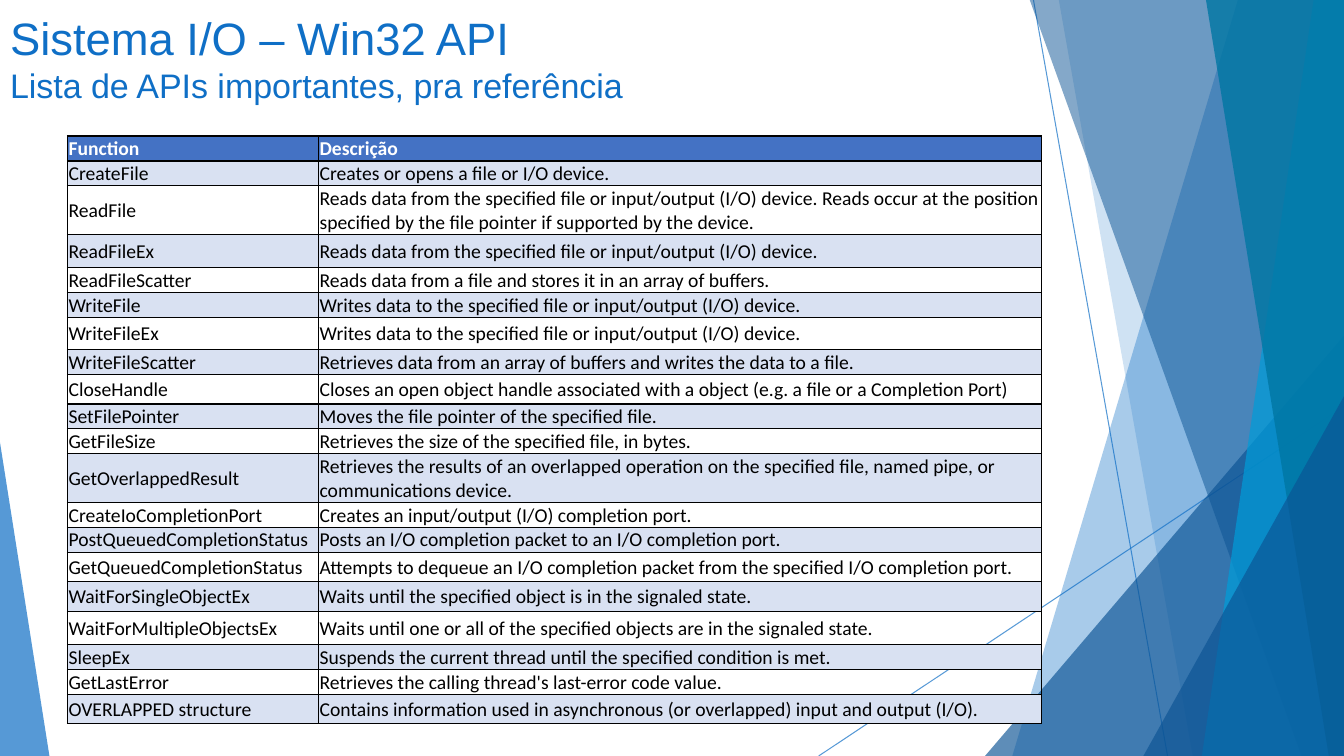
"""Build the slide listing the important Win32 I/O functions."""
import pptx
import pptx.dml.color
import pptx.enum.shapes
import pptx.enum.text
import pptx.oxml
import pptx.oxml.ns
import pptx.util
from pptx.util import Inches

WIDTH, HEIGHT = 13.33, 7.5
BLUE, NAVY, CYAN, TEAL = "0F6FC6", "0B5394", "009DD9", "0076A3"
HEADER, BAND, BLACK, WHITE = "4472C4", "D9E1F2", "000000", "FFFFFF"

HEADING = [("Sistema I/O – Win32 API", 32.4),
           ("Lista de APIs importantes, pra referência", 24.3)]

FUNCTIONS = [
    ("Function", "Descrição", 0.16),
    ("CreateFile", "Creates or opens a file or I/O device.", 0.16),
    ("ReadFile", "Reads data from the specified file or input/output (I/O) device. Reads occur at "
     "the position specified by the file pointer if supported by the device.", 0.29),
    ("ReadFileEx", "Reads data from the specified file or input/output (I/O) device.", 0.33),
    ("ReadFileScatter", "Reads data from a file and stores it in an array of buffers.", 0.16),
    ("WriteFile", "Writes data to the specified file or input/output (I/O) device.", 0.16),
    ("WriteFileEx", "Writes data to the specified file or input/output (I/O) device.", 0.32),
    ("WriteFileScatter", "Retrieves data from an array of buffers and writes the data to a file.",
     0.16),
    ("CloseHandle", "Closes an open object handle associated with a object "
     "(e.g. a file or a Completion Port)", 0.29),
    ("SetFilePointer", "Moves the file pointer of the specified file.", 0.16),
    ("GetFileSize", "Retrieves the size of the specified file, in bytes.", 0.16),
    ("GetOverlappedResult", "Retrieves the results of an overlapped operation on the specified "
     "file, named pipe, or communications device.", 0.29),
    ("CreateIoCompletionPort", "Creates an input/output (I/O) completion port.", 0.16),
    ("PostQueuedCompletionStatus", "Posts an I/O completion packet to an I/O completion port.",
     0.16),
    ("GetQueuedCompletionStatus", "Attempts to dequeue an I/O completion packet from the "
     "specified I/O completion port.", 0.29),
    ("WaitForSingleObjectEx", "Waits until the specified object is in the signaled state.", 0.3),
    ("WaitForMultipleObjectsEx", "Waits until one or all of the specified objects are in the "
     "signaled state.", 0.33),
    ("SleepEx", "Suspends the current thread until the specified condition is met.", 0.16),
    ("GetLastError", "Retrieves the calling thread's last-error code value.", 0.16),
    ("OVERLAPPED structure", "Contains information used in asynchronous (or overlapped) input "
     "and output (I/O).", 0.29),
]
COLUMNS = (2.49, 7.17)

RAYS = [(10.25, 0, 11.58, HEIGHT), (WIDTH, 4.03, 8.12, HEIGHT)]
FACETS = [
    ("band", (12.28, 10.04), BLUE, 36),
    ("band", (10.5, 11.83), BLUE, 20),
    ("triangle", (9.77, 3.33, 3.56, 1), NAVY, 66),
    ("band", (10.21, 12.91), NAVY, 50),
    ("band", (13.03, 11.92), CYAN, 70),
    ("band", (11.96, 13.18), TEAL, 80),
    ("triangle", (11.34, 3.93, 1.99, 1), NAVY, 66),
    ("triangle", (0, 4.39, 0.49, 0), BLUE, 70),
]


def paint(color_format, color):
    color_format.rgb = pptx.dml.color.RGBColor.from_string(color)


def set_alpha(element, percent):
    color = next(element.iter(pptx.oxml.ns.qn("a:srgbClr")))
    alpha = pptx.oxml.parse_xml(
        f'<a:alpha {pptx.oxml.ns.nsdecls("a")} val="{percent * 1000}"/>')
    color.append(alpha)


def add_ray(slide, x1, y1, x2, y2):
    ray = slide.shapes.add_connector(pptx.enum.shapes.MSO_CONNECTOR.STRAIGHT,
                                     *map(Inches, (x1, y1, x2, y2)))
    paint(ray.line.color, BLUE)
    ray.line.width = pptx.util.Pt(0.75)
    properties = ray._element.spPr
    set_alpha(properties, 70)
    properties.append(pptx.oxml.parse_xml(f'<a:effectLst {pptx.oxml.ns.nsdecls("a")}/>'))


def add_facet(slide, kind, geometry, color, opacity):
    if kind == "band":
        top_x, bottom_x = geometry
        outline = slide.shapes.build_freeform(Inches(top_x), Inches(-0.01))
        corners = [(WIDTH, -0.01), (WIDTH, HEIGHT), (bottom_x, HEIGHT)]
        outline.add_line_segments([(Inches(x), Inches(y)) for x, y in corners])
        facet = outline.convert_to_shape()
    else:
        left, top, width, apex = geometry
        facet = slide.shapes.add_shape(
            pptx.enum.shapes.MSO_SHAPE.ISOSCELES_TRIANGLE,
            *map(Inches, (left, top, width, HEIGHT - top)))
        facet.adjustments[0] = apex
    facet.shadow.inherit = False
    facet.line.fill.background()
    facet.fill.solid()
    paint(facet.fill.fore_color, color)
    set_alpha(facet._element.spPr, opacity)


def add_heading(slide):
    title = slide.shapes.title
    title.left, title.top, title.width, title.height = map(Inches, (0, 0, 9.4, 0.95))
    frame = title.text_frame
    frame.text = "\n".join(text for text, _ in HEADING)
    frame.auto_size = pptx.enum.text.MSO_AUTO_SIZE.NONE
    frame.vertical_anchor = pptx.enum.text.MSO_ANCHOR.TOP
    frame.margin_top = Inches(0.1)
    for paragraph, (_, size) in zip(frame.paragraphs, HEADING):
        paragraph.alignment = pptx.enum.text.PP_ALIGN.LEFT
        font = paragraph.runs[0].font
        font.name, font.size = "Arial", pptx.util.Pt(size)
        paint(font.color, BLUE)


def format_cell(cell, text, row):
    cell.text = text
    cell.vertical_anchor = pptx.enum.text.MSO_ANCHOR.MIDDLE
    cell.margin_left = cell.margin_right = cell.margin_top = Inches(0.01)
    cell.margin_bottom = 0
    font = cell.text_frame.paragraphs[0].runs[0].font
    font.name, font.size, font.bold = "Calibri", pptx.util.Pt(14), row == 0
    paint(font.color, BLACK if row else WHITE)
    properties = cell._tc.get_or_add_tcPr()
    for side in "LRTB":
        properties.append(pptx.oxml.parse_xml(
            f'<a:ln{side} {pptx.oxml.ns.nsdecls("a")} w="12700"><a:solidFill>'
            f'<a:srgbClr val="{BLACK}"/></a:solidFill></a:ln{side}>'))
    if row and row % 2 == 0:
        cell.fill.background()
    else:
        cell.fill.solid()
        paint(cell.fill.fore_color, BAND if row else HEADER)


def add_function_table(slide):
    frame = slide.shapes.add_table(len(FUNCTIONS), len(COLUMNS), Inches(0.67), Inches(1.35),
                                   Inches(sum(COLUMNS)), Inches(5.75))
    table = frame.table
    table.horz_banding = False
    for column, width in zip(table.columns, COLUMNS):
        column.width = Inches(width)
    for row, (function, description, height) in enumerate(FUNCTIONS):
        table.rows[row].height = Inches(height)
        for column, text in enumerate((function, description)):
            format_cell(table.cell(row, column), text, row)
    frame.height = Inches(5.75)


def main():
    deck = pptx.Presentation()
    deck.slide_width, deck.slide_height = Inches(WIDTH), Inches(HEIGHT)
    slide = deck.slides.add_slide(deck.slide_layouts[5])
    for ray in RAYS:
        add_ray(slide, *ray)
    for facet in FACETS:
        add_facet(slide, *facet)
    add_heading(slide)
    add_function_table(slide)
    deck.save("out.pptx")


if __name__ == "__main__":
    main()
